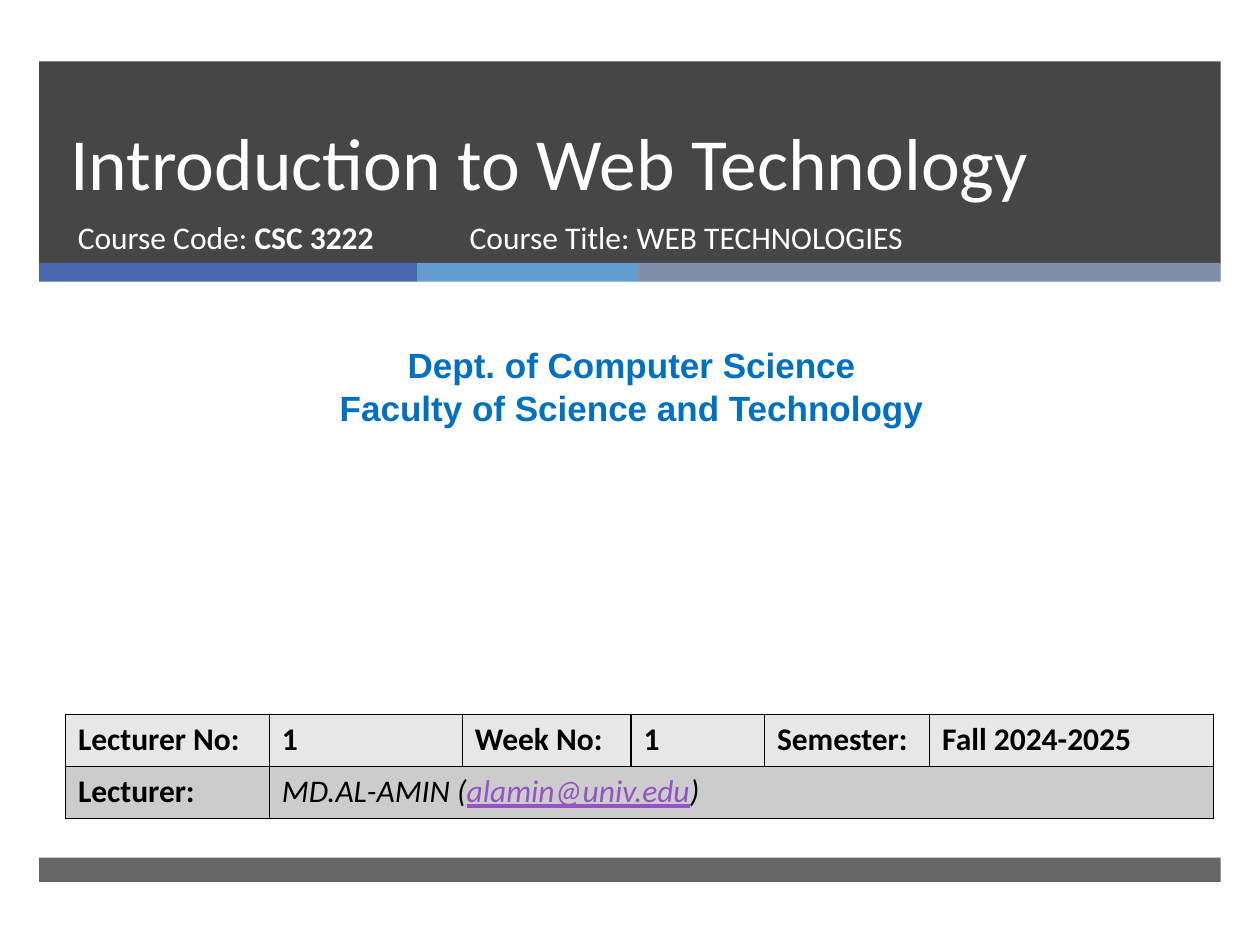
from lxml.etree import SubElement
from pptx import Presentation
from pptx.dml.color import RGBColor
from pptx.enum.shapes import MSO_SHAPE
from pptx.enum.text import MSO_ANCHOR, PP_ALIGN
from pptx.oxml.ns import qn
from pptx.util import Cm, Pt

WHITE = RGBColor(0xFF, 0xFF, 0xFF)
BLACK = RGBColor(0x00, 0x00, 0x00)
DARK = RGBColor(0x46, 0x46, 0x46)
GREY = RGBColor(0x66, 0x66, 0x66)
NAVY = RGBColor(0x4A, 0x66, 0xAC)
SKY = RGBColor(0x62, 0x9D, 0xD1)
SLATE = RGBColor(0x7F, 0x8F, 0xA9)
BLUE = RGBColor(0x00, 0x70, 0xC0)
PURPLE = RGBColor(0x94, 0x54, 0xC3)
LIGHT = RGBColor(0xE7, 0xE7, 0xE7)
MID = RGBColor(0xCC, 0xCC, 0xCC)

deck = Presentation()
deck.slide_width, deck.slide_height = Cm(25.4), Cm(19.05)
slide = deck.slides.add_slide(deck.slide_layouts[6])


def add_run(para, text, color, **style):
    run = para.add_run()
    run.text = text
    run.font.color.rgb = color
    for key, value in ({"name": "Calibri", "size": Pt(18)} | style).items():
        setattr(run.font, key, value)


def add_box(left, top, width, height):
    """Add a wrapping text box, in cm, and return its text frame."""
    box = slide.shapes.add_textbox(Cm(left), Cm(top), Cm(width), Cm(height))
    box.text_frame.word_wrap = True
    return box.text_frame


# Header, colour strip and footer
for left, top, width, height, color in [
    (0.79, 1.24, 23.82, 4.08, DARK),
    (0.79, 5.3, 7.62, 0.38, NAVY),
    (8.41, 5.3, 4.45, 0.38, SKY),
    (12.86, 5.3, 11.75, 0.38, SLATE),
    (0.79, 17.29, 23.82, 0.49, GREY),
]:
    bar = slide.shapes.add_shape(
        MSO_SHAPE.RECTANGLE, Cm(left), Cm(top), Cm(width), Cm(height))
    bar.shadow.inherit = False
    bar.fill.solid()
    bar.fill.fore_color.rgb = color
    bar.line.fill.background()

# Title and course
title = add_box(1.17, 1.24, 21.69, 3.02)
title.vertical_anchor = MSO_ANCHOR.BOTTOM
title.paragraphs[0].line_spacing = Pt(46)
add_run(title.paragraphs[0], "Introduction to Web Technology", WHITE, size=Pt(42))

code = add_box(1.32, 4.27, 7.75, 1.35).paragraphs[0]
add_run(code, "Course Code: ", WHITE)
add_run(code, "CSC 3222", WHITE, bold=True)

course = add_box(9.22, 4.27, 11.56, 1.35).paragraphs[0]
add_run(course, "Course Title: WEB TECHNOLOGIES", WHITE)

# Department
dept = add_box(0.2, 6.81, 25.07, 1.96)
lines = ["Dept. of Computer Science", "Faculty of Science and Technology"]
for i, text in enumerate(lines):
    para = dept.add_paragraph() if i else dept.paragraphs[0]
    para.alignment = PP_ALIGN.CENTER
    add_run(para, text, BLUE, name="Arial", size=Pt(20), bold=True)

# Lecture details
widths = [4.11, 3.89, 3.4, 2.69, 3.33, 5.72]
table = slide.shapes.add_table(
    2, len(widths), Cm(1.32), Cm(14.4), Cm(sum(widths)), Cm(2.1)).table
for col, width in zip(table.columns, widths):
    col.width = Cm(width)

for row, fill in zip(table.rows, [LIGHT, MID]):
    row.height = Cm(1.05)
    for cell in row.cells:
        props = cell._tc.get_or_add_tcPr()
        for side in ("a:lnL", "a:lnR", "a:lnT", "a:lnB"):
            edge = SubElement(props, qn(side), w=str(Pt(1)))
            paint = SubElement(edge, qn("a:solidFill"))
            SubElement(paint, qn("a:srgbClr"), val=str(BLACK))
        cell.fill.solid()
        cell.fill.fore_color.rgb = fill

heads = ["Lecturer No:", "1", "Week No:", "1", "Semester:", "Fall 2024-2025"]
for col, text in enumerate(heads):
    add_run(table.cell(0, col).text_frame.paragraphs[0], text, BLACK, bold=True)
add_run(table.cell(1, 0).text_frame.paragraphs[0], "Lecturer:", BLACK, bold=True)

table.cell(1, 1).merge(table.cell(1, 5))
name = table.cell(1, 1).text_frame.paragraphs[0]
plain = {"bold": False, "italic": True}
add_run(name, "MD.AL-AMIN (", BLACK, **plain)
add_run(name, "alamin@univ.edu", PURPLE, underline=True, **plain)
add_run(name, ")", BLACK, **plain)

deck.save("out.pptx")
